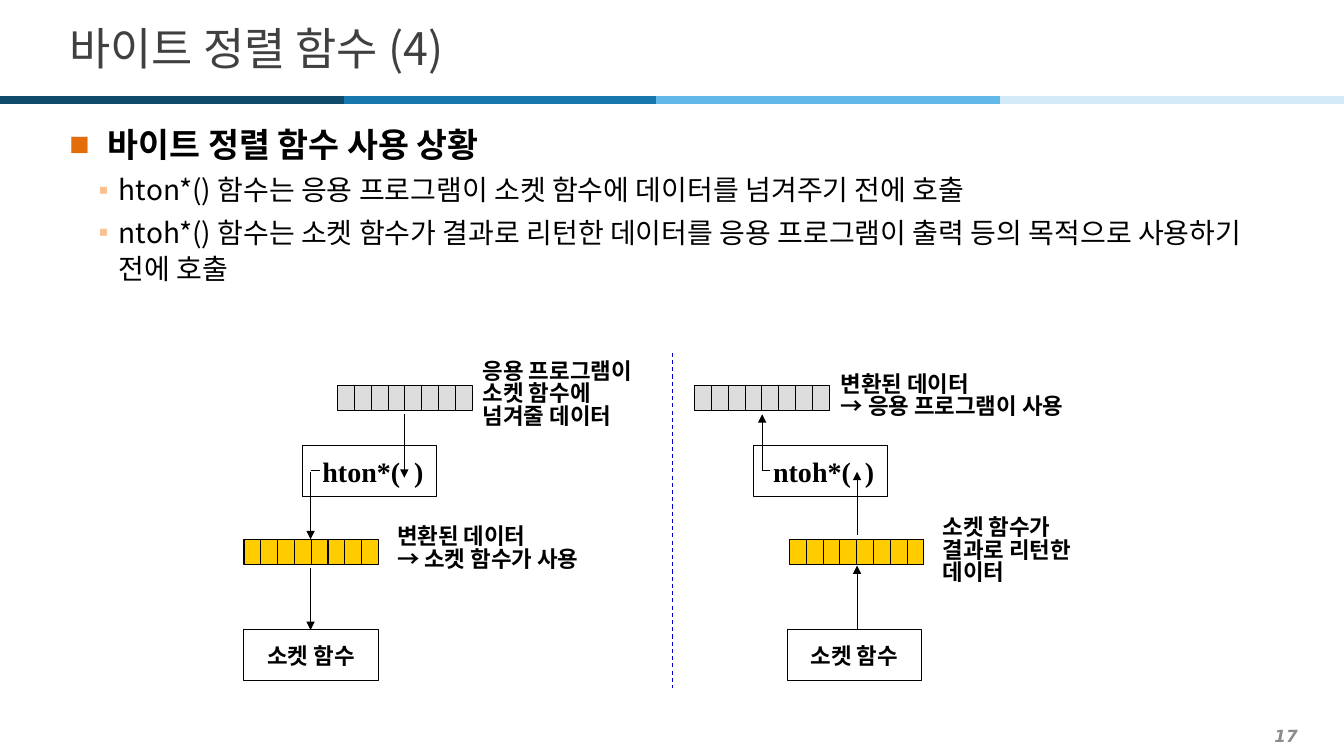
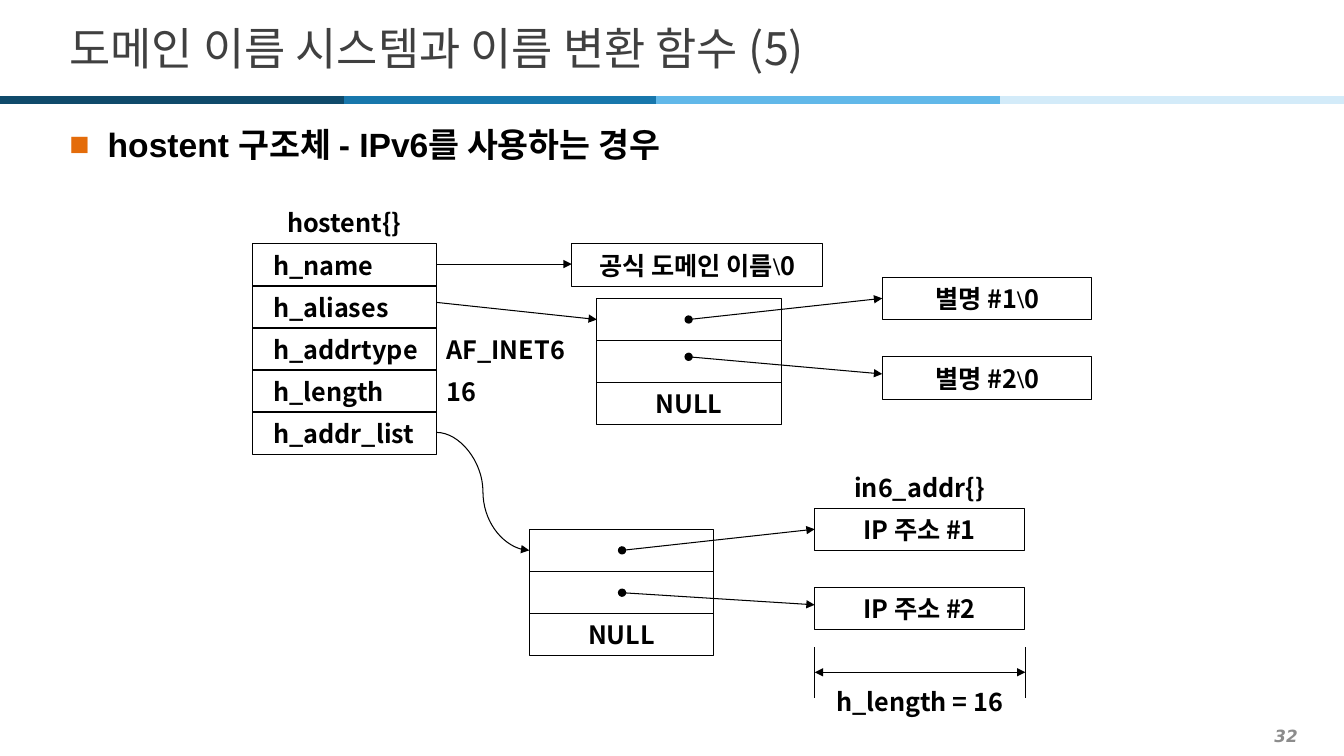
import pptx
import pptx.util
import pptx.dml.color
import pptx.enum.dml
import pptx.enum.shapes
import pptx.enum.text
import pptx.oxml.ns
from lxml import etree

Inches = pptx.util.Inches
Pt = pptx.util.Pt
qn = pptx.oxml.ns.qn
ALIGN = pptx.enum.text.PP_ALIGN
LEFT, CENTER, RIGHT = ALIGN.LEFT, ALIGN.CENTER, ALIGN.RIGHT
STRAIGHT = pptx.enum.shapes.MSO_CONNECTOR.STRAIGHT
CURVE = pptx.enum.shapes.MSO_CONNECTOR.CURVE

NOTO, ARIAL, TIMES, DEJAVU = "Noto Sans CJK KR", "Arial", "Times New Roman", "DejaVu Sans"
BLACK, GRAY, GOLD = "000000", "DDDDDD", "FFCC00"

BAND_EDGES = [0, 3.41, 6.51, 9.92, 13.33]
BAND_COLORS = ["0F4A6B", "1877AC", "61B8E9", "D3EBF9"]
LEVELS = [
    dict(size=24, font=ARIAL, bold=True, bullet="■", color="E46C0A",
         margin=0.38, indent=-0.38, spacing=1.0, before=0),
    dict(size=20, font=NOTO, bold=False, bullet="▪", color="FAC090",
         margin=0.49, indent=-0.2, spacing=1.09, before=2),
]

BYTE_ORDER = dict(
    title="바이트 정렬 함수 (4)", number="17",
    body=[(0, "바이트 정렬 함수 사용 상황"),
          (1, "hton*() 함수는 응용 프로그램이 소켓 함수에 데이터를 넘겨주기 전에 호출"),
          (1, "ntoh*() 함수는 소켓 함수가 결과로 리턴한 데이터를 응용 프로그램이 "
              "출력 등의 목적으로 사용하기 전에 호출")])
BYTE_COUNT, BYTE_W, BYTE_H = 8, 1 / 6, 0.25
BYTE_ROWS = [(3.35, 3.82, GRAY), (2.42, 5.35, GOLD),
             (6.89, 3.82, GRAY), (7.83, 5.35, GOLD)]
SOCKET_BOXES = [(2.42, 6.25), (7.81, 6.25)]
FUNCTION_BOXES = [(3, 4.42, "hton*(  )"), (7.47, 4.42, "ntoh*(  )")]
DATA_LABELS = [
    (4.69, 3.92, ["응용 프로그램이", "소켓 함수에", "넘겨줄 데이터"]),
    (3.84, 5.45, ["변환된 데이터", "→ 소켓 함수가 사용"]),
    (8.24, 3.94, ["변환된 데이터", "→ 응용 프로그램이 사용"]),
    (9.25, 5.47, ["소켓 함수가", "결과로 리턴한", "데이터"]),
]
DATA_ARROWS = [(3.08, 4.68, 5.35), (3.08, 5.64, 6.25), (4.01, 4.11, 4.74),
               (7.56, 4.67, 4.11), (8.5, 5.31, 4.68), (8.5, 6.25, 5.61)]
ELBOWS = [(3.08, 3.17), (7.56, 7.64)]

HOSTENT = dict(
    title="도메인 이름 시스템과 이름 변환 함수 (5)", number="32",
    body=[(0, "hostent 구조체 - IPv6를 사용하는 경우")])
ROW_H, ROW_STEP = 0.42, 5 / 12
FIELD_W, TARGET_W = 1.83, 2.08
FIELDS = ["h_name", "h_aliases", "h_addrtype", "h_length", "h_addr_list"]
FIELD_VALUES = {2: "AF_INET6", 3: "16"}
POINTER_TABLES = [(5.92, 2.96), (5.25, 5.25)]
POINTER_ROWS = ["", "", "NULL"]
TARGETS = [
    (5.67, 2.42, 2.49, "공식 도메인 이름", True),
    (8.75, 2.75, TARGET_W, "별명 #1", True),
    (8.75, 3.54, TARGET_W, "별명 #2", True),
    (8.08, 5.04, TARGET_W, "IP 주소 #1", False),
    (8.08, 5.83, TARGET_W, "IP 주소 #2", False),
]
CAPTIONS = [(2.5, 2, FIELD_W, 0.42, "hostent{}"),
            (8.08, 4.67, TARGET_W, 0.33, "in6_addr{}"),
            (8.08, 6.83, TARGET_W, 0.25, "h_length = 16")]
FIELD_ARROWS = [(4.33, 2.62, 5.67, 2.62, STRAIGHT),
                (4.33, 3, 5.92, 3.17, STRAIGHT),
                (4.33, 4.29, 5.25, 5.46, CURVE)]
POINTERS = [(6.83, 3.17, 8.75, 2.96), (6.83, 3.54, 8.75, 3.71),
            (6.17, 5.46, 8.08, 5.25), (6.17, 5.88, 8.08, 6)]
LENGTH_SPAN = (8.08, 10.17)


def rgb(color):
    return pptx.dml.color.RGBColor.from_string(color)


def set_font(p, size, name=NOTO, color=BLACK, bold=True, italic=False):
    f = p.font
    f.size, f.name, f.bold, f.italic = Pt(size), name, bold, italic
    f.color.rgb = rgb(color)
    props = p._p.pPr.find(qn("a:defRPr"))
    etree.SubElement(props, qn("a:ea"), typeface=NOTO)


def frame(sp, left=0.1, right=0.0, top=0.0):
    tf = sp.text_frame
    tf.word_wrap = True
    tf.margin_left, tf.margin_right = Inches(left), Inches(right)
    tf.margin_top = tf.margin_bottom = Inches(top)
    tf.vertical_anchor = pptx.enum.text.MSO_ANCHOR.MIDDLE
    return tf


def write(tf, lines, size, align=LEFT, spacing=None, **font):
    for i, line in enumerate(lines):
        p = tf.paragraphs[0] if i == 0 else tf.add_paragraph()
        p.text = line
        p.alignment = align
        if spacing:
            p.line_spacing = spacing
        set_font(p, size, **font)


def add_text(s, x, y, w, h, lines, size, align=LEFT, left=0.1, right=0.0, **style):
    sp = s.shapes.add_textbox(Inches(x), Inches(y), Inches(w), Inches(h))
    write(frame(sp, left, right), lines, size, align, **style)


def add_box(s, x, y, w, h, text="", size=18, align=CENTER, left=0.0, fill=None, **style):
    sp = s.shapes.add_shape(pptx.enum.shapes.MSO_SHAPE.RECTANGLE,
                            Inches(x), Inches(y), Inches(w), Inches(h))
    sp.shadow.inherit = False
    if fill:
        sp.fill.solid()
        sp.fill.fore_color.rgb = rgb(fill)
    else:
        sp.fill.background()
    sp.line.color.rgb = rgb(BLACK)
    sp.line.width = Pt(0.75)
    if text:
        write(frame(sp, left), [text], size, align, **style)
    return sp


def add_line(s, x1, y1, x2, y2, color=BLACK, width=0.75, head=None, tail=None,
             dashed=False, kind=STRAIGHT):
    c = s.shapes.add_connector(kind, Inches(x1), Inches(y1), Inches(x2), Inches(y2))
    c.line.color.rgb = rgb(color)
    c.line.width = Pt(width)
    if dashed:
        c.line.dash_style = pptx.enum.dml.MSO_LINE.DASH
    props = c.element.spPr
    for tag, end in (("a:headEnd", head), ("a:tailEnd", tail)):
        if end:
            etree.SubElement(props.find(qn("a:ln")), qn(tag), type=end)
    etree.SubElement(props, qn("a:effectLst"))


def add_bullet(p, level):
    props = p._p.get_or_add_pPr()
    props.set("marL", str(Inches(level["margin"])))
    props.set("indent", str(Inches(level["indent"])))
    color = etree.SubElement(props, qn("a:buClr"))
    etree.SubElement(color, qn("a:srgbClr"), val=level["color"])
    etree.SubElement(props, qn("a:buFont"), typeface=ARIAL)
    etree.SubElement(props, qn("a:buChar"), char=level["bullet"])


def add_body(s, items):
    sp = s.shapes.add_textbox(Inches(0.59), Inches(1.18), Inches(12.21), Inches(6.03))
    tf = frame(sp, 0.1, 0.1, 0.05)
    tf.vertical_anchor = pptx.enum.text.MSO_ANCHOR.TOP
    for i, (depth, text) in enumerate(items):
        level = LEVELS[depth]
        p = tf.paragraphs[0] if i == 0 else tf.add_paragraph()
        p.text = text
        p.line_spacing = level["spacing"]
        p.space_before, p.space_after = Pt(level["before"]), Pt(2)
        add_bullet(p, level)
        set_font(p, level["size"], level["font"], bold=level["bold"])


def add_slide(prs, content):
    s = prs.slides.add_slide(prs.slide_layouts[6])
    for x1, x2, color in zip(BAND_EDGES, BAND_EDGES[1:], BAND_COLORS):
        add_line(s, x1, 0.99, x2, 0.99, color, 6)
    add_text(s, 0.59, 0.13, 12.21, 0.68, [content["title"]], 32,
             color="404040", bold=False)
    add_body(s, content["body"])
    add_text(s, 0.2, 7.14, 12.77, 0.31, [content["number"]], 12, RIGHT, right=0.1,
             name=DEJAVU, color="8C8C8C", italic=True)
    return s


def build_byte_order(prs):
    s = add_slide(prs, BYTE_ORDER)
    add_line(s, 6.67, 3.5, 6.67, 6.83, "0000CC", dashed=True)
    for x, y in SOCKET_BOXES:
        add_box(s, x, y, 1.33, 0.5, "소켓 함수", 16)
    for x, y, text in FUNCTION_BOXES:
        add_box(s, x, y, 1.33, 0.51, text, 20, left=0.07, name=TIMES)
    for x, y, color in BYTE_ROWS:
        for i in range(BYTE_COUNT):
            add_box(s, x + i * BYTE_W, y, BYTE_W, BYTE_H, fill=color)
    for x, middle, lines in DATA_LABELS:
        add_text(s, x, middle - 0.42, 2.6, 0.84, lines, 16, spacing=0.83)
    for x, start, end in DATA_ARROWS:
        add_line(s, x, start, x, end, tail="triangle")
    for x1, x2 in ELBOWS:
        add_line(s, x1, 4.67, x2, 4.67)


def add_target(s, x, y, w, text, terminated):
    sp = add_box(s, x, y, w, ROW_H, text)
    if terminated:
        p = sp.text_frame.paragraphs[0]
        for mark, name in (("\\", TIMES), ("0", NOTO)):
            r = p.add_run()
            r.text = mark
            r.font.name = name


def build_hostent(prs):
    s = add_slide(prs, HOSTENT)
    for i, field in enumerate(FIELDS):
        y = 2.42 + i * ROW_STEP
        add_box(s, 2.5, y, FIELD_W, ROW_H, field, align=LEFT, left=0.21)
        if i in FIELD_VALUES:
            add_text(s, 4.33, y, 1.5, ROW_H, [FIELD_VALUES[i]], 18)
    for x, y in POINTER_TABLES:
        for i, text in enumerate(POINTER_ROWS):
            add_box(s, x, y + i * ROW_STEP, FIELD_W, ROW_H, text)
    for target in TARGETS:
        add_target(s, *target)
    for x, y, w, h, text in CAPTIONS:
        add_text(s, x, y, w, h, [text], 18, CENTER, left=0)
    for x1, y1, x2, y2, kind in FIELD_ARROWS:
        add_line(s, x1, y1, x2, y2, tail="triangle", kind=kind)
    for ends in POINTERS:
        add_line(s, *ends, head="oval", tail="triangle")
    for x in LENGTH_SPAN:
        add_line(s, x, 6.42, x, 6.92)
    add_line(s, LENGTH_SPAN[0], 6.67, LENGTH_SPAN[1], 6.67,
             head="triangle", tail="triangle")


def main():
    prs = pptx.Presentation()
    prs.slide_width, prs.slide_height = Inches(13.33), Inches(7.5)
    build_byte_order(prs)
    build_hostent(prs)
    prs.save("out.pptx")


if __name__ == "__main__":
    main()
